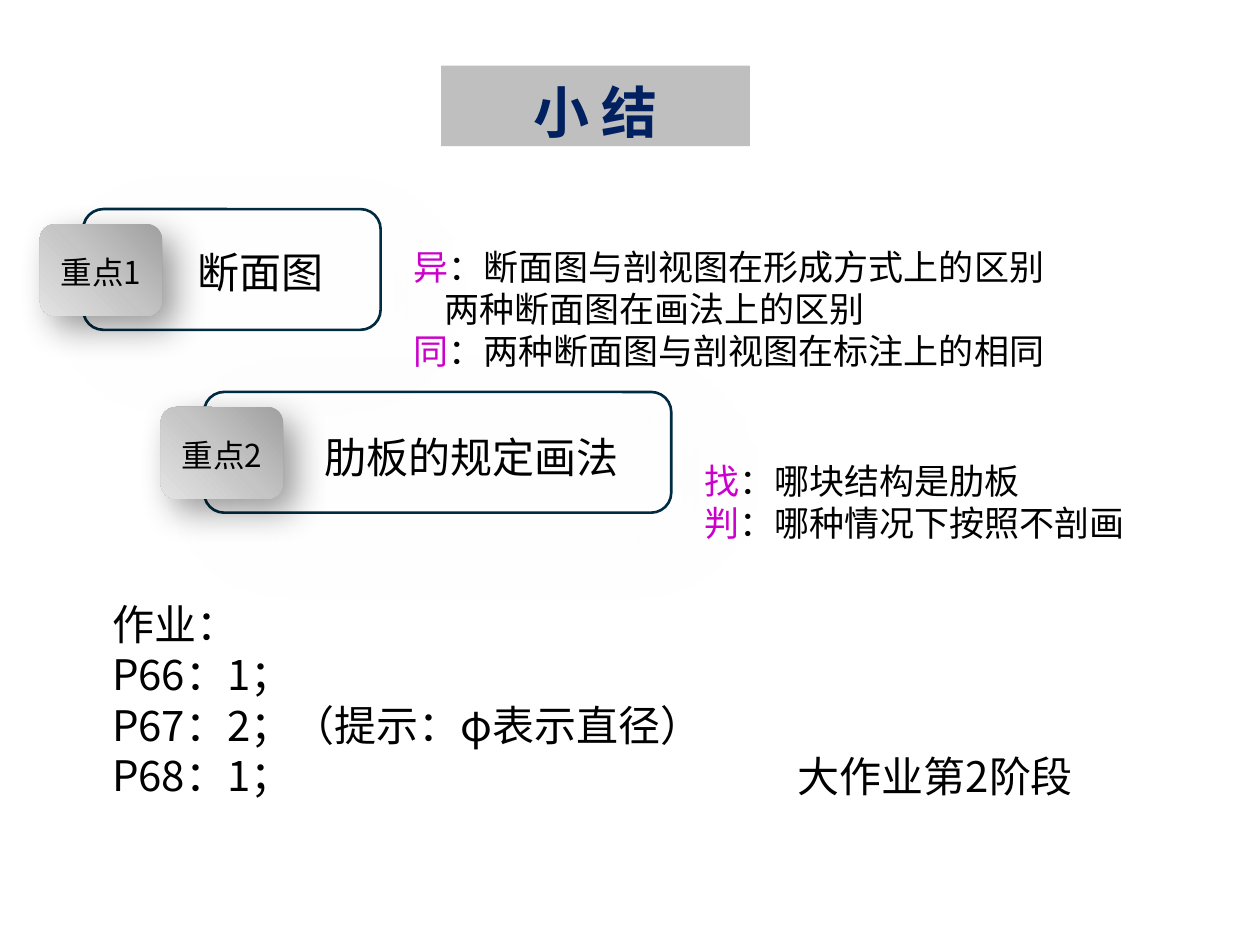
from copy import deepcopy

from lxml import etree
from pptx import Presentation
from pptx.dml.color import RGBColor
from pptx.enum import shapes, text
from pptx.oxml.ns import qn
from pptx.util import Pt

FONT = "Noto Sans CJK SC"
BLACK = RGBColor(0x00, 0x00, 0x00)
NAVY = RGBColor(0x00, 0x20, 0x60)
TEAL = RGBColor(0x00, 0x2B, 0x41)
MAGENTA = RGBColor(0xCC, 0x00, 0xCC)
SILVER = RGBColor(0xBF, 0xBF, 0xBF)
GRAY = RGBColor(0x80, 0x80, 0x80)
BADGE_STOPS = [
    (0, RGBColor(0xA0, 0xA0, 0xA0)),
    (0.5, RGBColor(0xC5, 0xC5, 0xC5)),
    (1, RGBColor(0xE3, 0xE3, 0xE3)),
]

TITLE = "小 结"
KEY_POINTS = [
    {
        "badge": "重点1",
        "label": "断面图",
        "frame": (47.5, 119.5, 170, 69),
        "label_box": (106, 134.6, 99.5, 36),
        "notes_box": (229, 134.6, 413, 82),
        "notes": [
            ("异", "：断面图与剖视图在形成方式上的区别"),
            ("", "两种断面图在画法上的区别"),
            ("同", "：两种断面图与剖视图在标注上的相同"),
        ],
    },
    {
        "badge": "重点2",
        "label": "肋板的规定画法",
        "frame": (116.6, 224, 267, 69),
        "label_box": (178.5, 240.5, 205, 36),
        "notes_box": (395.3, 257, 356, 55.4),
        "notes": [
            ("找", "：哪块结构是肋板"),
            ("判", "：哪种情况下按照不剖画"),
        ],
    },
]
HOMEWORK = ["作业：", "P66：1；", "P67：2；（提示：φ表示直径）", "P68：1；"]
STAGE = "大作业第2阶段"

BADGE_OFFSET = (-24.8, 8.6)
BADGE_SIZE = (70, 52.5)
NOTE_INDENT = 17.7
LINE_HEIGHT = 1.2


def points(values):
    return [Pt(value) for value in values]


def format_run(run, size, color, bold=False):
    run.font.size = Pt(size)
    run.font.bold = bold
    run.font.color.rgb = color
    run.font.name = FONT
    east_asian = etree.SubElement(run.font._element, qn("a:ea"))
    east_asian.set("typeface", FONT)


def write(shape, lines, size, color=BLACK, align=text.PP_ALIGN.LEFT,
          anchor=text.MSO_ANCHOR.TOP, bold=False):
    frame = shape.text_frame
    frame.word_wrap = True
    frame.auto_size = text.MSO_AUTO_SIZE.NONE
    frame.vertical_anchor = anchor
    frame.margin_top = Pt(3.6 + size / 10)
    frame.text = "\n".join(lines)
    for paragraph in frame.paragraphs:
        paragraph.alignment = align
        paragraph.line_spacing = Pt(size * LINE_HEIGHT)
        for run in paragraph.runs:
            format_run(run, size, color, bold)


def add_text(parent, box, lines, size, align=text.PP_ALIGN.LEFT):
    shape = parent.add_textbox(*points(box))
    write(shape, lines, size, align=align)


def add_notes(parent, box, notes):
    shape = parent.add_textbox(*points(box))
    write(shape, [""] * len(notes), 20)
    for paragraph, (keyword, detail) in zip(shape.text_frame.paragraphs, notes):
        for words, color in ((keyword, MAGENTA), (detail, BLACK)):
            if words:
                run = paragraph.add_run()
                run.text = words
                format_run(run, 20, color)
        if not keyword:
            properties = paragraph._p.get_or_add_pPr()
            properties.set("marL", str(Pt(NOTE_INDENT)))
            properties.set("indent", "0")


def add_shadow(shape, color, opacity, blur, distance):
    shape.shadow.inherit = False
    effects = shape._element.spPr.find(qn("a:effectLst"))
    shadow = etree.SubElement(
        effects, qn("a:outerShdw"), blurRad=str(Pt(blur)), dist=str(Pt(distance)),
        dir=str(45 * 60000), algn="tl", rotWithShape="0")
    tint = etree.SubElement(shadow, qn("a:srgbClr"), val=str(color))
    etree.SubElement(tint, qn("a:alpha"), val=str(opacity * 1000))


def fill_badge(shape):
    shape.fill.gradient()
    shape.fill.gradient_angle = 225
    stop_list = shape._element.spPr.find(".//" + qn("a:gsLst"))
    stop_list.insert(1, deepcopy(stop_list[0]))
    for stop, (position, color) in zip(shape.fill.gradient_stops, BADGE_STOPS):
        stop.position = position
        stop.color.rgb = color


def add_key_point(slide, point):
    group = slide.shapes.add_group_shape().shapes
    rounded = shapes.MSO_SHAPE.ROUNDED_RECTANGLE

    frame = group.add_shape(rounded, *points(point["frame"]))
    frame.fill.background()
    frame.line.color.rgb = TEAL
    frame.line.width = Pt(1.5)
    add_shadow(frame, GRAY, 20, 50, 20)

    corner = [start + shift for start, shift in zip(point["frame"], BADGE_OFFSET)]
    badge = group.add_shape(rounded, *points(corner), *points(BADGE_SIZE))
    fill_badge(badge)
    badge.line.fill.background()
    add_shadow(badge, BLACK, 40, 20, 10)
    write(badge, [point["badge"]], 18, align=text.PP_ALIGN.CENTER,
          anchor=text.MSO_ANCHOR.MIDDLE)

    add_text(group, point["label_box"], [point["label"]], 24)
    add_notes(slide.shapes, point["notes_box"], point["notes"])


def main():
    presentation = Presentation()
    presentation.slide_width, presentation.slide_height = Pt(720), Pt(540)
    slide = presentation.slides.add_slide(presentation.slide_layouts[5])

    title = slide.shapes.title
    title.left, title.top, title.width, title.height = points((252, 37.5, 176.5, 46))
    title.fill.solid()
    title.fill.fore_color.rgb = SILVER
    write(title, [TITLE], 32, NAVY, text.PP_ALIGN.CENTER, bold=True)

    add_text(slide.shapes, (57, 336, 365, 124), HOMEWORK, 24)
    for point in KEY_POINTS:
        add_key_point(slide, point)
    add_text(slide.shapes, (435, 422.6, 199, 36), [STAGE], 24, text.PP_ALIGN.CENTER)

    presentation.save("out.pptx")


if __name__ == "__main__":
    main()
